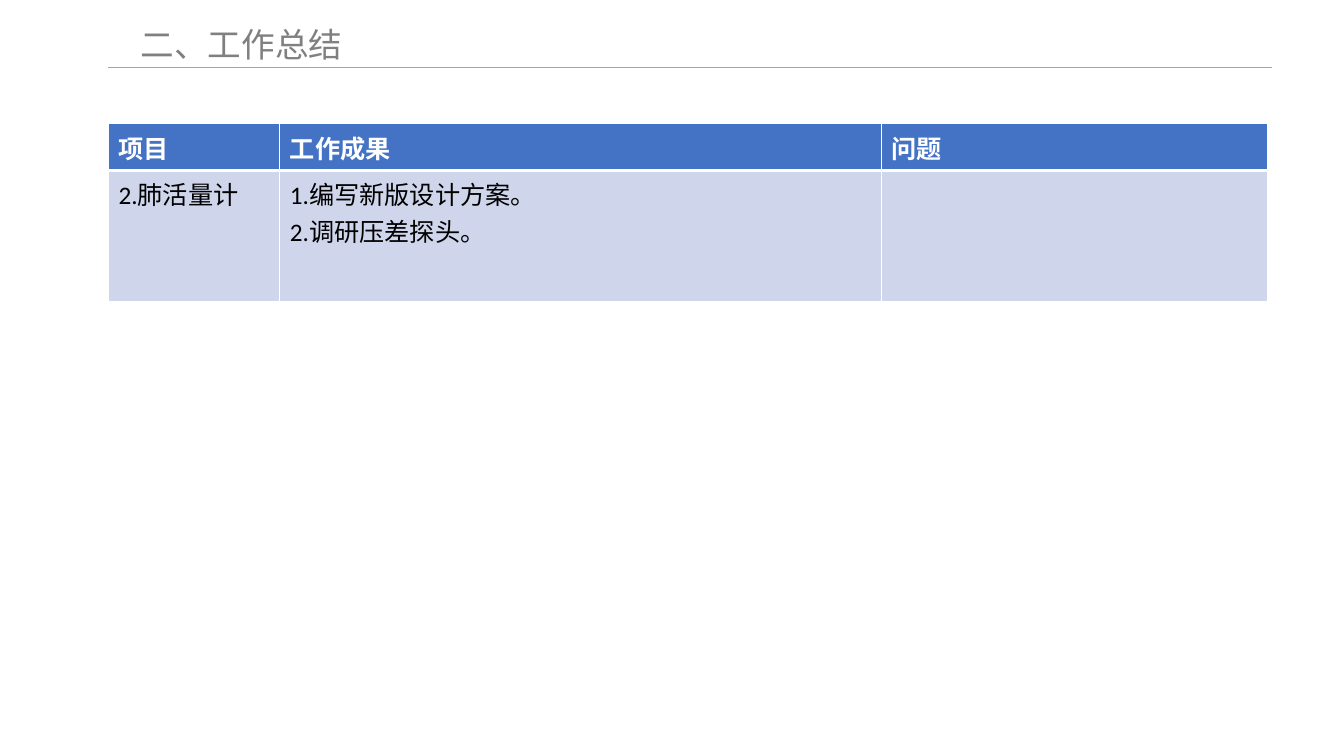
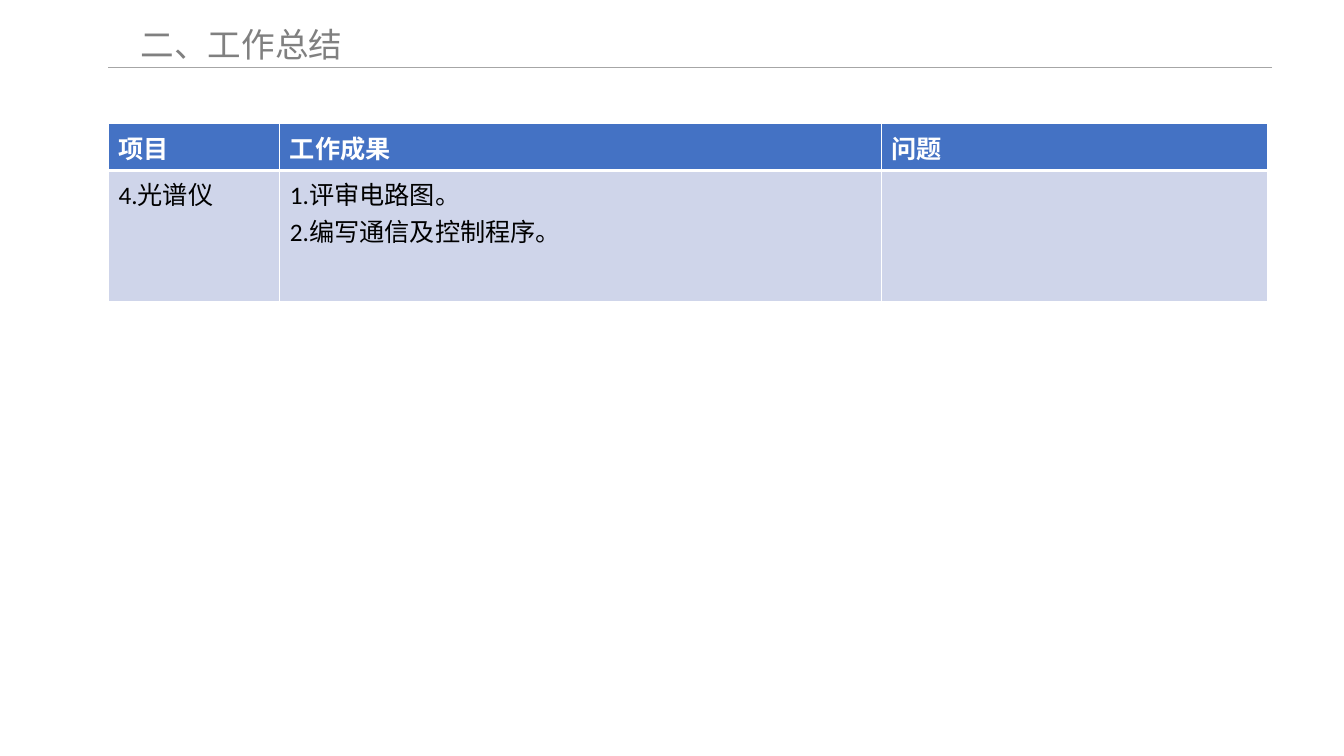
"""Build the work summary slides, one project table per slide."""
from dataclasses import dataclass

from lxml import etree
from pptx import Presentation
from pptx.dml.color import RGBColor
from pptx.enum.lang import MSO_LANGUAGE_ID
from pptx.enum.shapes import MSO_CONNECTOR
from pptx.enum.text import MSO_ANCHOR, MSO_AUTO_SIZE, PP_ALIGN
from pptx.oxml.ns import qn
from pptx.slide import Slide, SlideLayout
from pptx.table import _Cell
from pptx.text.text import TextFrame
from pptx.util import Pt

STRAIGHT = MSO_CONNECTOR.STRAIGHT
TOP = MSO_ANCHOR.TOP
FIXED = MSO_AUTO_SIZE.NONE
LEFT = PP_ALIGN.LEFT
CHINESE = MSO_LANGUAGE_ID.SIMPLIFIED_CHINESE
TITLE_ONLY = 5


@dataclass(frozen=True)
class Theme:
    """Colours, fonts and type sizes of the deck."""

    title: str = "808080"
    rule: str = "A6A6A6"
    header: str = "4472C4"
    body: str = "CFD5EA"
    white: str = "FFFFFF"
    black: str = "000000"
    latin: str = "Calibri"
    chinese: str = "Noto Sans CJK SC"
    title_size: float = 24
    table_size: float = 18


@dataclass(frozen=True)
class Project:
    """One project row: its name, results and problems."""

    name: str
    results: tuple[str, ...]
    problems: tuple[str, ...] = ()


@dataclass(frozen=True)
class Borders:
    """Border widths of a cell in points."""

    left: float = 1
    right: float = 1
    top: float = 1
    bottom: float = 1


THEME = Theme()
TITLE = "二、工作总结"
HEADINGS = ("项目", "工作成果", "问题")
PROJECTS = (
    Project("2.肺活量计", ("1.编写新版设计方案。", "2.调研压差探头。")),
    Project("4.光谱仪", ("1.评审电路图。", "2.编写通信及控制程序。")),
)
MARGIN = 77.5
RULE_RIGHT, RULE_TOP = 908.64, 48.24
TABLE_TOP = 88.5
COLUMN_WIDTHS = (122.4, 429.84, 275.76)
ROW_HEIGHTS = (30, 93.5)
HEADER_BORDERS = Borders(bottom=3)
BODY_BORDERS = Borders(top=3)


def write_text(frame: TextFrame, lines: tuple[str, ...], *, size: float, color: str,
               font: str = THEME.latin, bold: bool = False) -> None:
    """Write one left-aligned paragraph per line in the given format."""
    for index, line in enumerate(lines):
        para = frame.add_paragraph() if index else frame.paragraphs[0]
        para.alignment = LEFT
        span = para.add_run()
        span.text = line
        span.font.size = Pt(size)
        span.font.bold = bold
        span.font.name = font
        span.font.language_id = CHINESE
        span.font.color.rgb = RGBColor.from_string(color)
        east_asian = etree.Element(qn("a:ea"), typeface=THEME.chinese)
        span.font._element.find(qn("a:latin")).addnext(east_asian)


def add_rule(page: Slide, layout: SlideLayout) -> None:
    """Draw the line under the title and place it on the shared layout."""
    rule = page.shapes.add_connector(
        STRAIGHT, Pt(RULE_RIGHT), Pt(RULE_TOP), Pt(MARGIN), Pt(RULE_TOP))
    rule.line.color.rgb = RGBColor.from_string(THEME.rule)
    rule.line.width = Pt(0.75)
    etree.SubElement(rule.element.spPr, qn("a:effectLst"))
    layout.shapes.element.append(rule.element)


def set_title(page: Slide) -> None:
    """Move and format the title placeholder."""
    box = page.shapes.title
    box.left, box.top, box.width, box.height = Pt(93.25), Pt(13.68), Pt(180), Pt(36)
    frame = box.text_frame
    frame.word_wrap = True
    frame.auto_size = FIXED
    frame.vertical_anchor = TOP
    write_text(frame, (TITLE,), size=THEME.title_size, color=THEME.title,
               font=THEME.chinese)


def style_cell(cell: _Cell, fill: str, borders: Borders) -> None:
    """Give a cell white borders and a solid fill."""
    properties = cell._tc.get_or_add_tcPr()
    edges = {"a:lnL": borders.left, "a:lnR": borders.right,
             "a:lnT": borders.top, "a:lnB": borders.bottom}
    for tag, width in edges.items():
        line = etree.SubElement(properties, qn(tag), w=str(Pt(width)))
        solid = etree.SubElement(line, qn("a:solidFill"))
        etree.SubElement(solid, qn("a:srgbClr"), val=THEME.white)
    cell.fill.solid()
    cell.fill.fore_color.rgb = RGBColor.from_string(fill)


def add_project_table(page: Slide, project: Project) -> None:
    """Add the table with a header row and one project row."""
    table = page.shapes.add_table(
        len(ROW_HEIGHTS), len(COLUMN_WIDTHS), Pt(MARGIN), Pt(TABLE_TOP),
        Pt(sum(COLUMN_WIDTHS)), Pt(sum(ROW_HEIGHTS))).table
    for row, height in zip(table.rows, ROW_HEIGHTS):
        row.height = Pt(height)
    contents = ((project.name,), project.results, project.problems)
    for index, (width, heading, lines) in enumerate(
            zip(COLUMN_WIDTHS, HEADINGS, contents)):
        table.columns[index].width = Pt(width)
        header, body = table.cell(0, index), table.cell(1, index)
        style_cell(header, THEME.header, HEADER_BORDERS)
        style_cell(body, THEME.body, BODY_BORDERS)
        write_text(header.text_frame, (heading,), size=THEME.table_size,
                   color=THEME.white, bold=True)
        write_text(body.text_frame, lines, size=THEME.table_size, color=THEME.black)


def main() -> None:
    """Build and save the deck."""
    deck = Presentation()
    deck.slide_width, deck.slide_height = Pt(960), Pt(540)
    layout = deck.slide_layouts[TITLE_ONLY]
    pages = [deck.slides.add_slide(layout) for _ in PROJECTS]
    add_rule(pages[0], layout)
    for page, project in zip(pages, PROJECTS):
        set_title(page)
        add_project_table(page, project)
    deck.save("out.pptx")


if __name__ == "__main__":
    main()
